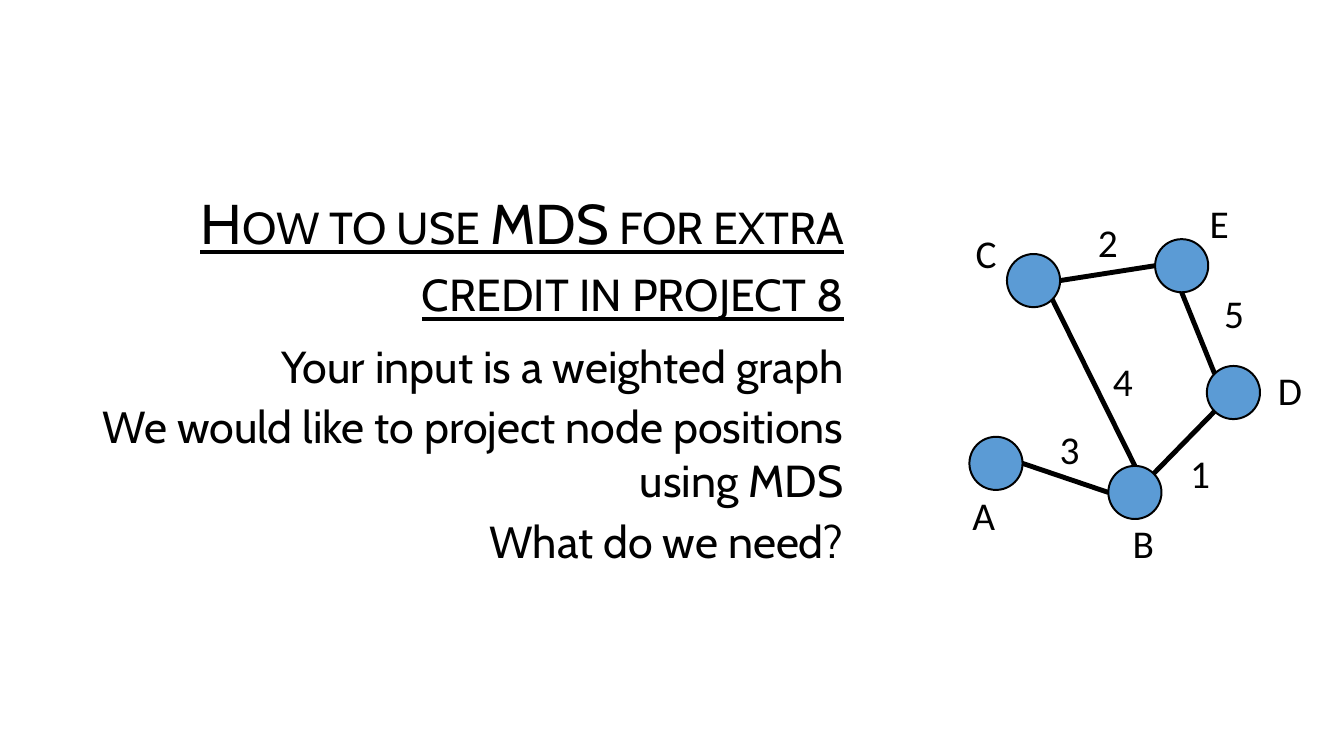
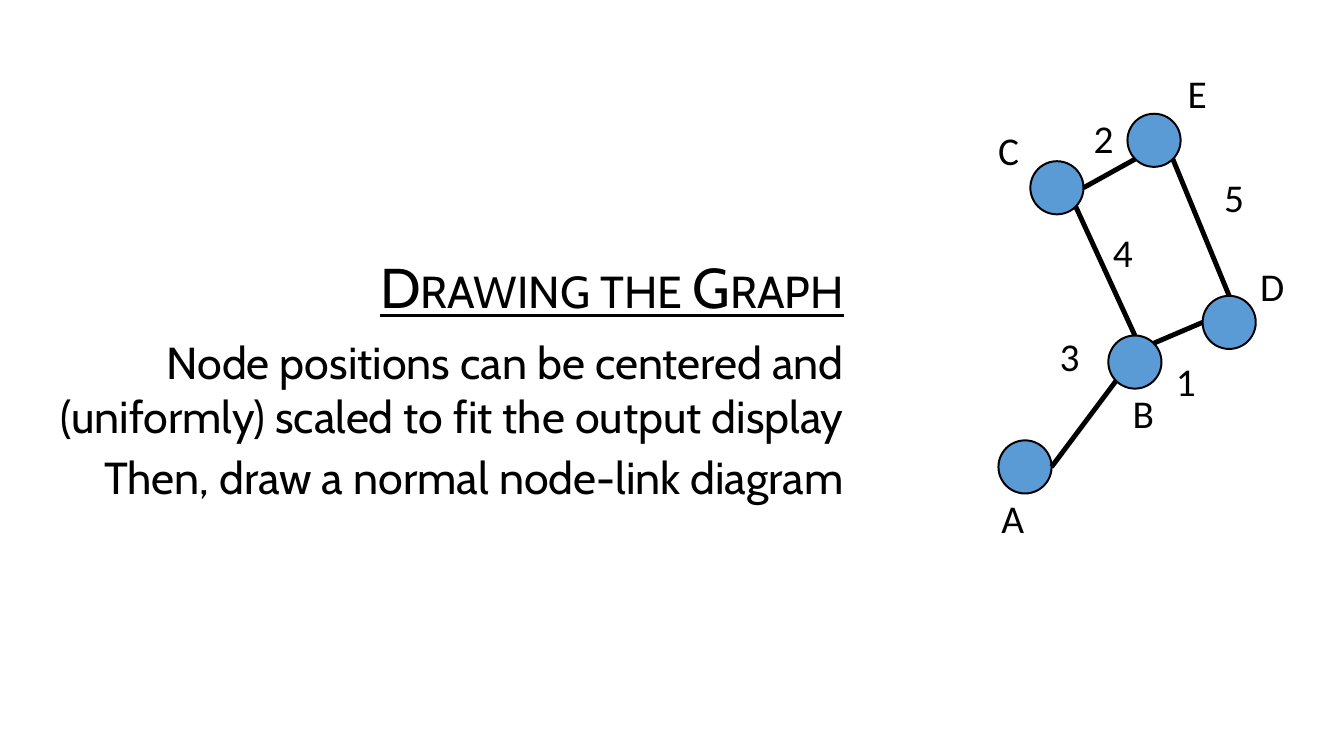
import math

import pptx
import pptx.dml.color
import pptx.enum.dml
import pptx.enum.shapes
import pptx.enum.text
import pptx.oxml.ns
import pptx.util
from lxml import etree

Inches = pptx.util.Inches
Pt = pptx.util.Pt
ALIGN = pptx.enum.text.PP_ALIGN

BLACK = "000000"
NODE_FILL = "5B9BD5"
BODY_FONT = "Cabin"
LABEL_FONT = "Calibri"
DIAMETER = 0.75
LABEL_W, LABEL_H = 0.5, 0.77

ANGLES = {name: i * math.pi / 4 for i, name in
          enumerate(["E", "SE", "S", "SW", "W", "NW", "N", "NE"])}

SLIDES = [
    {
        "title": "How to use MDS for extra credit in project 8",
        "lines": ["Your input is a weighted graph",
                  "We would like to project node positions using MDS",
                  "What do we need?"],
        "nodes": {"C": (14.58, 3.96), "B": (16.01, 6.95), "E": (16.67, 3.75),
                  "A": (14.05, 6.54), "D": (17.4, 5.54)},
        "edges": [("C", "E", "E", "W"), ("D", "NW", "E", "S"),
                  ("C", "SE", "B", "N"), ("B", "W", "A", "E"),
                  ("B", "NE", "D", "SW")],
        "labels": {"4": (15.84, 5.38), "3": (15.09, 6.33), "2": (15.63, 3.42),
                   "1": (16.93, 6.68), "5": (17.41, 4.41), "A": (13.87, 7.27),
                   "C": (13.91, 3.57), "B": (16.13, 7.66), "D": (18.18, 5.5),
                   "E": (17.2, 3.14)},
    },
    {
        "title": "Drawing the Graph",
        "lines": ["Node positions can be centered and (uniformly) scaled "
                  "to fit the output display",
                  "Then, draw a normal node-link diagram"],
        "nodes": {"C": (14.91, 2.65), "B": (16.01, 5.11), "E": (16.28, 1.98),
                  "A": (14.46, 6.59), "D": (17.34, 4.55)},
        "edges": [("C", "E", "E", "SW"), ("D", "N", "E", "SE"),
                  ("C", "SE", "B", "N"), ("B", "SW", "A", "E"),
                  ("B", "NE", "D", "W")],
        "labels": {"4": (15.84, 3.55), "3": (15.09, 5.03), "2": (15.57, 1.95),
                   "1": (16.73, 5.37), "5": (17.41, 2.78), "A": (14.28, 7.31),
                   "C": (14.23, 2.12), "B": (16.13, 5.83), "D": (17.93, 4.03),
                   "E": (16.89, 1.31)},
    },
]


def rgb(value):
    return pptx.dml.color.RGBColor.from_string(value)


def write(p, text, font=BODY_FONT, size=45.5, color=BLACK, align=ALIGN.RIGHT,
          underline=False, small_caps=False, before=0, after=0, indent=0):
    p.alignment = align
    p.space_before = Pt(before)
    p.space_after = Pt(after)
    if indent:
        p_pr = p._p.get_or_add_pPr()
        p_pr.set("marL", str(Inches(indent)))
        p_pr.set("indent", "0")
    r = p.add_run()
    r.text = text
    r.font.name = font
    r.font.size = Pt(size)
    r.font.color.rgb = rgb(color)
    r.font.underline = underline
    if small_caps:
        r.font._element.set("cap", "small")


def add_body(s, title, lines):
    sp = s.shapes.add_textbox(Inches(0), Inches(1.29), Inches(12), Inches(8.09))
    tf = sp.text_frame
    tf.word_wrap = True
    tf.vertical_anchor = pptx.enum.text.MSO_ANCHOR.MIDDLE
    write(tf.paragraphs[0], title, size=56.9, underline=True, small_caps=True,
          before=14.2, after=8.5, indent=0.51)
    for line in lines:
        p = tf.add_paragraph()
        p.level = 1
        write(p, line, before=7.1, indent=0.51)


def add_node(s, x, y):
    sp = s.shapes.add_shape(
        pptx.enum.shapes.MSO_SHAPE.OVAL, Inches(x - DIAMETER / 2),
        Inches(y - DIAMETER / 2), Inches(DIAMETER), Inches(DIAMETER))
    sp.shadow.inherit = False
    sp.fill.solid()
    sp.fill.fore_color.rgb = rgb(NODE_FILL)
    sp.line.color.rgb = rgb(BLACK)
    sp.line.width = Pt(2)


def rim_point(center, side):
    x, y = center
    angle = ANGLES[side]
    return (Inches(x + DIAMETER / 2 * math.cos(angle)),
            Inches(y + DIAMETER / 2 * math.sin(angle)))


def add_edge(s, start, end):
    cn = s.shapes.add_connector(
        pptx.enum.shapes.MSO_CONNECTOR.STRAIGHT, *start, *end)
    cn.line.color.rgb = rgb(BLACK)
    cn.line.width = Pt(5)
    etree.SubElement(cn._element.spPr, pptx.oxml.ns.qn("a:effectLst"))


def add_label(s, text, x, y):
    sp = s.shapes.add_textbox(Inches(x - LABEL_W / 2), Inches(y - LABEL_H / 2),
                              Inches(LABEL_W), Inches(LABEL_H))
    tf = sp.text_frame
    tf.word_wrap = False
    tf.auto_size = pptx.enum.text.MSO_AUTO_SIZE.SHAPE_TO_FIT_TEXT
    write(tf.paragraphs[0], text, font=LABEL_FONT, size=40, align=ALIGN.CENTER)


def add_graph(s, nodes, edges, labels):
    for center in nodes.values():
        add_node(s, *center)
    for a, a_side, b, b_side in edges:
        add_edge(s, rim_point(nodes[a], a_side), rim_point(nodes[b], b_side))
    for text, center in labels.items():
        add_label(s, text, *center)


def main():
    prs = pptx.Presentation()
    prs.slide_width = Inches(18.96)
    prs.slide_height = Inches(10.67)
    for content in SLIDES:
        s = prs.slides.add_slide(prs.slide_layouts[6])
        add_body(s, content["title"], content["lines"])
        add_graph(s, content["nodes"], content["edges"], content["labels"])
    prs.save("out.pptx")


if __name__ == "__main__":
    main()
